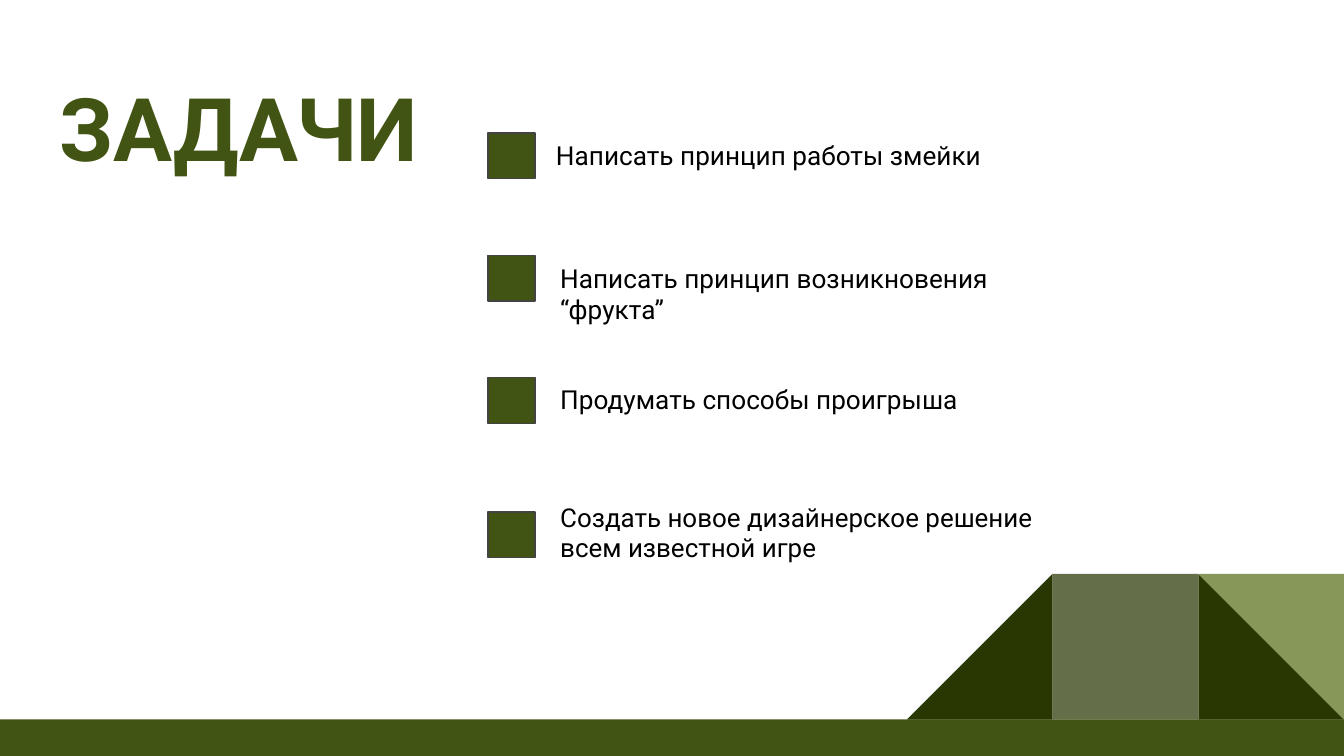
import pptx
import pptx.dml.color
import pptx.enum.shapes
import pptx.enum.text
import pptx.util

WIDTH = 10
HEIGHT = WIDTH * 9 / 16
FONT = "Roboto"
GREEN, DARK, GREY, LIGHT = "425413", "293802", "646F49", "869759"
OUTLINE, BLACK = "434343", "000000"
SHAPES = pptx.enum.shapes.MSO_SHAPE

# top of the marker, box of the text, size, line spacing, wording
TASKS = [
    (0.99, (3.99, 0.94, 4.08, 0.44), 14, 1, " Написать принцип работы змейки"),
    (1.90, (4.07, 1.85, 3.92, 0.67), 14, 1,
     "Написать принцип возникновения “фрукта”"),
    (2.81, (4.07, 2.75, 3.51, 0.44), 14, 1, "Продумать способы проигрыша"),
    (3.81, (4.07, 3.65, 3.92, 0.67), 13.9, 0.95,
     "Создать новое дизайнерское решение всем известной игре"),
]


def color(value):
    return pptx.dml.color.RGBColor.from_string(value)


def lengths(box):
    return [pptx.util.Inches(value) for value in box]


def add_block(page, kind, box, fill, line=None, rotation=0):
    shape = page.shapes.add_shape(kind, *lengths(box))
    shape.shadow.inherit = False
    shape.rotation = rotation
    shape.fill.solid()
    shape.fill.fore_color.rgb = color(fill)
    if line:
        shape.line.color.rgb = color(line)
        shape.line.width = pptx.util.Pt(0.75)
    else:
        shape.line.fill.background()


def write(shape, words, size, ink, bold=False, spacing=1):
    frame = shape.text_frame
    frame.word_wrap = True
    frame.auto_size = pptx.enum.text.MSO_AUTO_SIZE.NONE
    frame.vertical_anchor = pptx.enum.text.MSO_ANCHOR.TOP
    frame.margin_left = frame.margin_right = pptx.util.Inches(0.1)
    frame.margin_top = frame.margin_bottom = pptx.util.Inches(0.1)
    para = frame.paragraphs[0]
    para.alignment = pptx.enum.text.PP_ALIGN.LEFT
    para.line_spacing = spacing
    span = para.add_run()
    span.text = words
    span.font.name = FONT
    span.font.size = pptx.util.Pt(size)
    span.font.bold = bold
    span.font.color.rgb = color(ink)


def add_footer(page, box):
    """Draw a full-width band with a row of square tiles above its right end."""
    left, top, width, height = box
    side = 0.8 * height
    tiles = [
        (1, SHAPES.RIGHT_TRIANGLE, DARK, 0),
        (3, SHAPES.RIGHT_TRIANGLE, DARK, 270),
        (2, SHAPES.RECTANGLE, GREY, 0),
        (1, SHAPES.RIGHT_TRIANGLE, LIGHT, 180),
    ]
    for place, kind, fill, rotation in tiles:
        tile = (left + width - place * side, top, side, side)
        add_block(page, kind, tile, fill, rotation=rotation)
    band = (left, top + side, width, height - side)
    add_block(page, SHAPES.RECTANGLE, band, GREEN)


def add_title(page, box):
    title = page.shapes.title
    title.left, title.top, title.width, title.height = lengths(box)
    write(title, "ЗАДАЧИ", 47, GREEN, bold=True)


def add_tasks(page, left):
    for marker_top, box, size, spacing, words in TASKS:
        marker = (left, marker_top, 0.35, 0.34)
        add_block(page, SHAPES.RECTANGLE, marker, GREEN, OUTLINE)
        label = page.shapes.add_textbox(*lengths(box))
        write(label, words, size, BLACK, spacing=spacing)


def main():
    deck = pptx.Presentation()
    deck.slide_width, deck.slide_height = lengths((WIDTH, HEIGHT))
    page = deck.slides.add_slide(deck.slide_layouts[5])
    add_footer(page, (0, 4.27, WIDTH, HEIGHT - 4.27))
    add_title(page, (0.34, 0.45, 3.51, 1.1))
    add_tasks(page, 3.63)
    deck.save("out.pptx")


if __name__ == "__main__":
    main()
